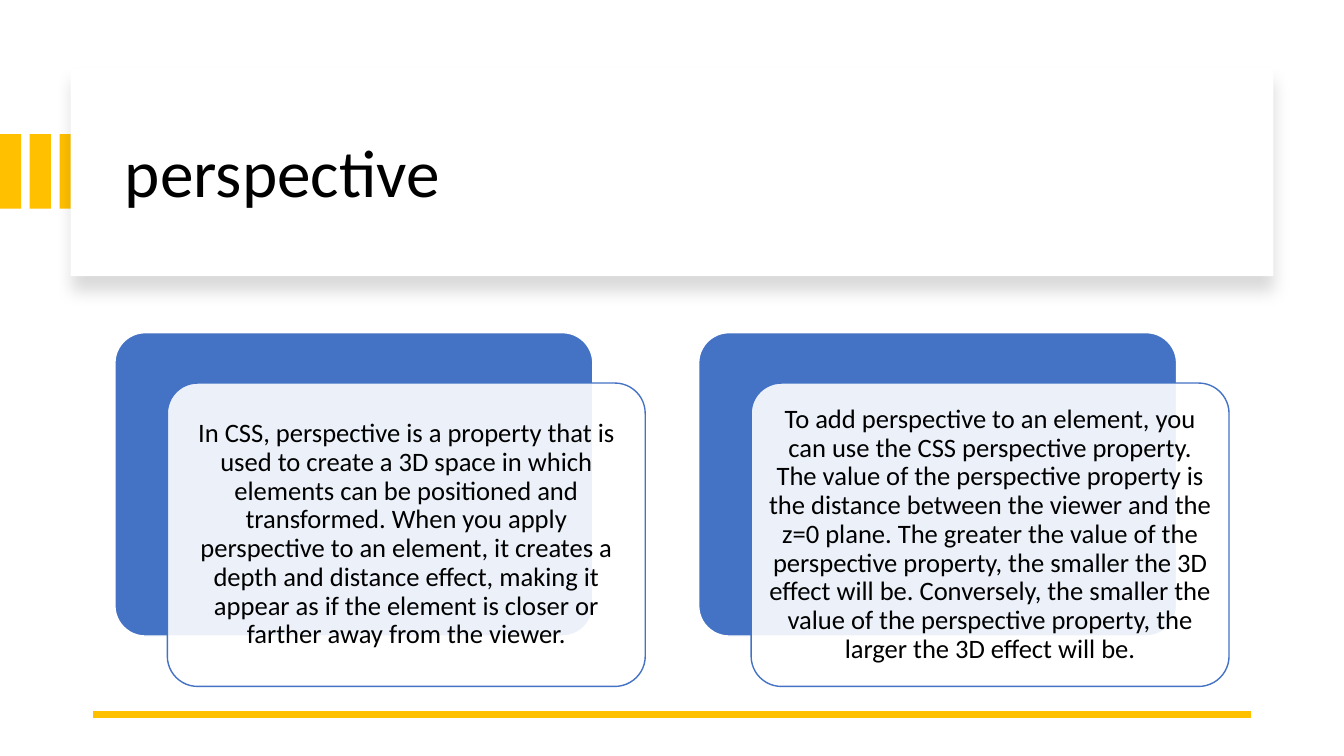
from lxml import etree
from pptx import Presentation, util as u
from pptx.dml.color import RGBColor
from pptx.enum import shapes, text
from pptx.oxml import parse_xml
from pptx.oxml.ns import qn

# Content
TITLE = "perspective"
CARDS = [
    "In CSS, perspective is a property that is used to create a 3D space in which "
    "elements can be positioned and transformed. When you apply perspective to an "
    "element, it creates a depth and distance effect, making it appear as if the "
    "element is closer or farther away from the viewer.",
    "To add perspective to an element, you can use the CSS perspective property. "
    "The value of the perspective property is the distance between the viewer and "
    "the z=0 plane. The greater the value of the perspective property, the smaller "
    "the 3D effect will be. Conversely, the smaller the value of the perspective "
    "property, the larger the 3D effect will be.",
]

# Style
FONT = "Calibri"
GOLD = RGBColor(0xFF, 0xC0, 0x00)
BLUE = RGBColor(0x44, 0x72, 0xC4)
WHITE = RGBColor(0xFF, 0xFF, 0xFF)
BLACK = RGBColor(0x00, 0x00, 0x00)
A_NS = "http://schemas.openxmlformats.org/drawingml/2006/main"

# Grid, in inches
W, H = 13.33, 7.5
BAR_W, BAR_H, BAR_TOP, BAR_STEP = 0.21, 0.74, 1.33, 0.295
CARD_LEFT, CARD_TOP, CARD_W, CARD_H, CARD_STEP = 1.14, 3.3, 4.74, 3.01, 5.79
SHIFT_X, SHIFT_Y, PAD = 0.52, 0.5, 0.09
RULE_Y, RULE_MARGIN = 7.09, 0.92

prs = Presentation()
prs.slide_width, prs.slide_height = u.Inches(W), u.Inches(H)
s = prs.slides.add_slide(prs.slide_layouts[6])


def box(x, y, w, h, fill, line=None, rounded=False, alpha=None):
    kind = shapes.MSO_SHAPE.ROUNDED_RECTANGLE if rounded else shapes.MSO_SHAPE.RECTANGLE
    sp = s.shapes.add_shape(kind, *map(u.Inches, (x, y, w, h)))
    sp.shadow.inherit = False
    if rounded:
        sp.adjustments[0] = 0.1
    sp.fill.solid()
    sp.fill.fore_color.rgb = fill
    if alpha is not None:
        clr = sp._element.spPr.find(qn("a:solidFill"))[0]
        etree.SubElement(clr, qn("a:alpha")).set("val", str(alpha * 1000))
    if line is None:
        sp.line.fill.background()
    else:
        sp.line.color.rgb = line
        sp.line.width = u.Pt(1)
    return sp


def write(content, x, y, w, h, size, align=text.PP_ALIGN.LEFT, inset=(0.1, 0.05), after=0):
    tf = s.shapes.add_textbox(*map(u.Inches, (x, y, w, h))).text_frame
    tf.word_wrap = True
    tf.vertical_anchor = text.MSO_ANCHOR.MIDDLE
    tf.margin_left = tf.margin_right = u.Inches(inset[0])
    tf.margin_top = tf.margin_bottom = u.Inches(inset[1])
    p = tf.paragraphs[0]
    p.alignment, p.line_spacing, p.space_after = align, 0.9, u.Pt(after)
    r = p.add_run()
    r.text = content
    r.font.name, r.font.size, r.font.color.rgb = FONT, u.Pt(size), BLACK


# Gold bars at the left edge
for i in range(3):
    box(i * BAR_STEP, BAR_TOP, BAR_W, BAR_H, GOLD)

# Title panel with a soft shadow below
panel = box(0.7, 0.67, 11.93, 2.07, WHITE)
panel._element.spPr.find(qn("a:effectLst")).append(parse_xml(
    f'<a:outerShdw xmlns:a="{A_NS}" blurRad="{u.Pt(11)}" dist="{u.Pt(10)}" '
    'dir="5400000" algn="t" rotWithShape="0">'
    '<a:srgbClr val="000000"><a:alpha val="15000"/></a:srgbClr></a:outerShdw>'))
write(TITLE, 1.14, 0.89, 11.13, 1.7, 48)

# Gold rule at the foot
rule = s.shapes.add_connector(
    shapes.MSO_CONNECTOR.STRAIGHT,
    *map(u.Inches, (W - RULE_MARGIN, RULE_Y, RULE_MARGIN, RULE_Y)))
rule.line.color.rgb = GOLD
rule.line.width = u.Pt(4.5)
etree.SubElement(rule._element.spPr, qn("a:effectLst"))

# Cards: blue back, translucent front, text
for i, content in enumerate(CARDS):
    x = CARD_LEFT + i * CARD_STEP
    front_x, front_y = x + SHIFT_X, CARD_TOP + SHIFT_Y
    box(x, CARD_TOP, CARD_W, CARD_H, BLUE, line=WHITE, rounded=True)
    box(front_x, front_y, CARD_W, CARD_H, WHITE, line=BLUE, rounded=True, alpha=90)
    write(content, front_x + PAD, front_y + PAD, CARD_W - 2 * PAD, CARD_H - 2 * PAD,
          19, align=text.PP_ALIGN.CENTER, inset=(0.08, 0.08), after=6.65)

prs.save("out.pptx")
